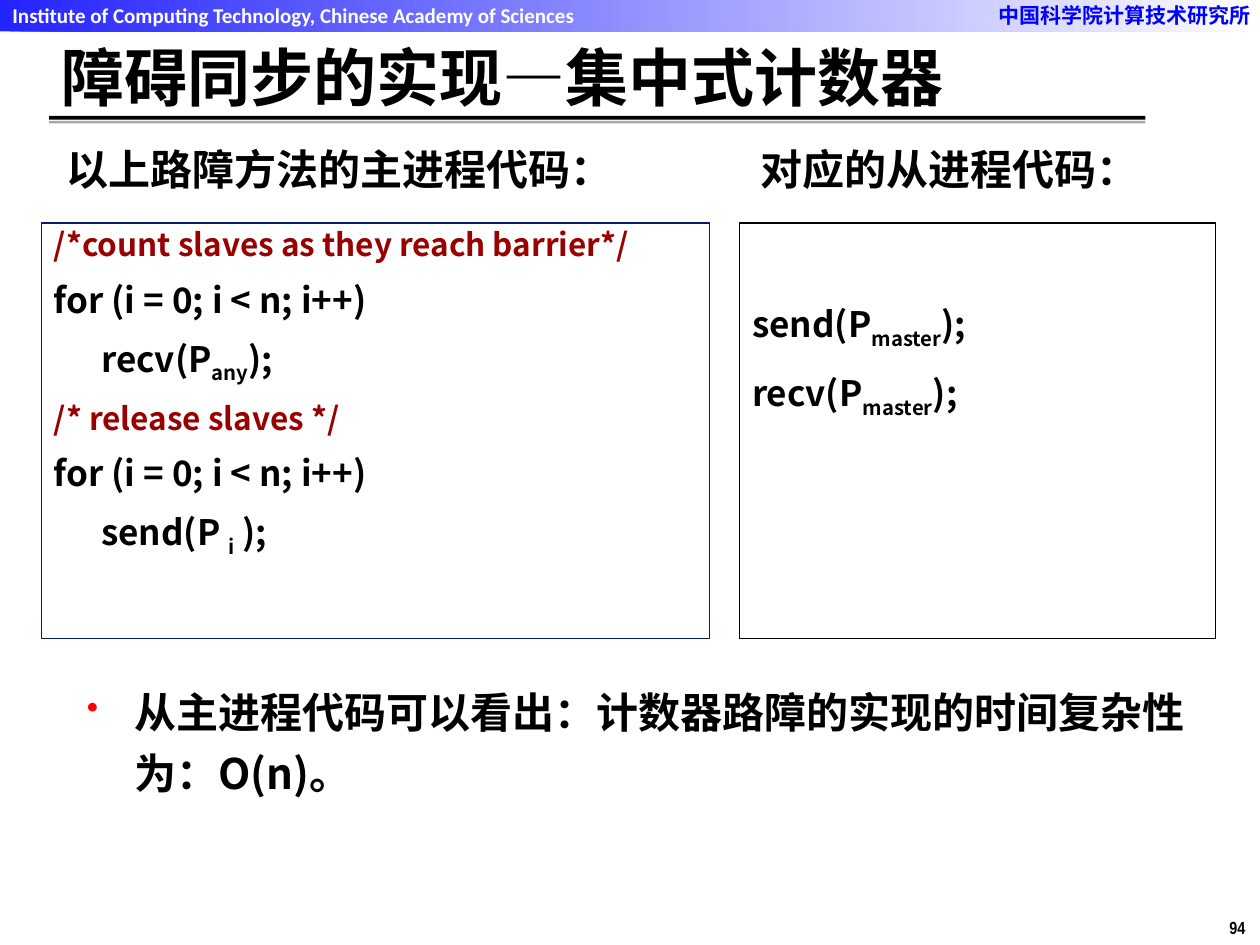
from lxml.etree import SubElement
from pptx import Presentation
from pptx.dml.color import RGBColor
from pptx.enum.shapes import MSO_SHAPE as Shape
from pptx.enum.text import MSO_ANCHOR as Anchor
from pptx.oxml.ns import qn
from pptx.util import Inches, Pt

COLUMNS, ROWS = 100, 75
CELL = Inches(0.1)
FACE = "Noto Sans CJK SC"
BLACK, BLUE, WHITE, RED = "000000", "0000FF", "FFFFFF", "990000"
HANG = 3.75
LOOP = ["for (i = 0; i < n; i++)"]


def cells(*counts):
    return [round(count * CELL) for count in counts]


def paint(color, value):
    color.rgb = RGBColor.from_string(value)


def add_bar(page, place, fill=None, line=None):
    bar = page.shapes.add_shape(Shape.RECTANGLE, *cells(*place))
    bar.shadow.inherit = False
    if fill:
        bar.fill.solid()
        paint(bar.fill.fore_color, fill)
    else:
        bar.fill.background()
    if line:
        paint(bar.line.color, line)
        bar.line.width = Pt(0.75)
    else:
        bar.line.fill.background()
    return bar


def add_banner(page, place, ends):
    banner = add_bar(page, place)
    banner.fill.gradient()
    banner.fill.gradient_angle = 0
    for stop, value in zip(banner.fill.gradient_stops, ends):
        paint(stop.color, value)
    for color in banner.element.iter(qn("a:srgbClr")):
        SubElement(color, qn("a:alpha"), val="85000")


def set_font(para, size, color=BLACK, face=FACE):
    font = para.font
    font.name, font.size, font.bold = face, Pt(size), True
    paint(font.color, color)
    SubElement(font._element, qn("a:ea"), typeface=face)


def set_indent(para, margin, first):
    props = para._p.get_or_add_pPr()
    left, hang = cells(margin, first)
    props.set("marL", str(left))
    props.set("indent", str(hang))


def add_bullet(para, mark, color, percent):
    props = para._p.get_or_add_pPr()
    tint = SubElement(props, qn("a:buClr"))
    SubElement(tint, qn("a:srgbClr"), val=color)
    SubElement(props, qn("a:buSzPct"), val=str(percent * 1000))
    SubElement(props, qn("a:buChar"), char=mark)


def add_label(page, place, text, size, color=BLACK, face=FACE, wrap=True):
    box = page.shapes.add_textbox(*cells(*place))
    box.text_frame.word_wrap = wrap
    para = box.text_frame.paragraphs[0]
    para.add_run().text = text
    set_font(para, size, color, face)
    return box


def add_code(page, place, line, rows, spacing, top=0.5):
    frame = add_bar(page, place, line=line).text_frame
    frame.word_wrap = True
    frame.vertical_anchor = Anchor.TOP
    frame.margin_top = cells(top)[0]
    for number, (parts, margin, size, color) in enumerate(rows):
        para = frame.add_paragraph() if number else frame.paragraphs[0]
        set_indent(para, margin, 0)
        para.alignment = 1
        para.line_spacing = spacing if number or top > 1 else 0.9
        if number:
            para.space_before = Pt(size * 0.2)
        set_font(para, size, color)
        for position, part in enumerate(parts):
            span = para.add_run()
            span.text = part
            if position == 1:
                span.font._element.set("baseline", "-25000")


def add_conclusion(page, place, text):
    para = add_label(page, place, text, 24).text_frame.paragraphs[0]
    props = para._p.get_or_add_pPr()
    props.remove(props.find(qn("a:defRPr")))
    set_indent(para, HANG, -HANG)
    para.line_spacing = 1.2
    add_bullet(para, "•", "FF0000", 80)
    set_font(para, 24)


def add_frame(page):
    add_banner(page, (0, 0, COLUMNS, 2.5), (BLUE, WHITE))
    add_label(page, (78.3, -0.3, 22.4, 3), "中国科学院计算技术研究所", 12, BLUE)
    add_label(page, (96.6, 72.3, 3.4, 2.7), "94", 10, face="Arial Narrow", wrap=False)
    add_label(page, (0, -0.3, 47.5, 3),
              "Institute of Computing Technology, Chinese Academy of Sciences",
              12, WHITE, "Calibri")
    add_bar(page, (3.9, 9.2, 87, 0.3), BLACK)
    add_bar(page, (3.9, 9.6, 87, 0.2), "A6A6A6")


def main():
    deck = Presentation()
    deck.slide_width, deck.slide_height = cells(COLUMNS, ROWS)
    page = deck.slides.add_slide(deck.slide_layouts[6])
    add_frame(page)
    title = add_label(page, (3.9, 3.3, 86.8, 5.6), "障碍同步的实现—集中式计数器", 36)
    title.text_frame.vertical_anchor = Anchor.MIDDLE

    master = [
        (["/*count slaves as they reach barrier*/"], 0, 18, RED),
        (LOOP, 0, 20, BLACK),
        (["recv(P", "any", ");"], HANG, 20, BLACK),
        (["/* release slaves */"], 0, 18, RED),
        (LOOP, 0, 20, BLACK),
        (["send(P ", "i", " );"], HANG, 20, BLACK),
    ]
    slave = [([call, "master", ");"], 0, 20, BLACK) for call in ("send(P", "recv(P")]
    add_code(page, (3.3, 17.7, 53, 33), "002060", master, 1.2)
    add_code(page, (58.7, 17.7, 37.8, 33), BLACK, slave, 1.3, top=5.2)

    add_conclusion(page, (5.9, 53.2, 90.8, 12.6),
                   "从主进程代码可以看出：计数器路障的实现的时间复杂性为：О(n)。")
    add_label(page, (4.3, 10.9, 46, 5), "以上路障方法的主进程代码：", 24, wrap=False)
    add_label(page, (59.4, 10.9, 32.5, 5), "对应的从进程代码：", 24, wrap=False)
    deck.save("out.pptx")


if __name__ == "__main__":
    main()
